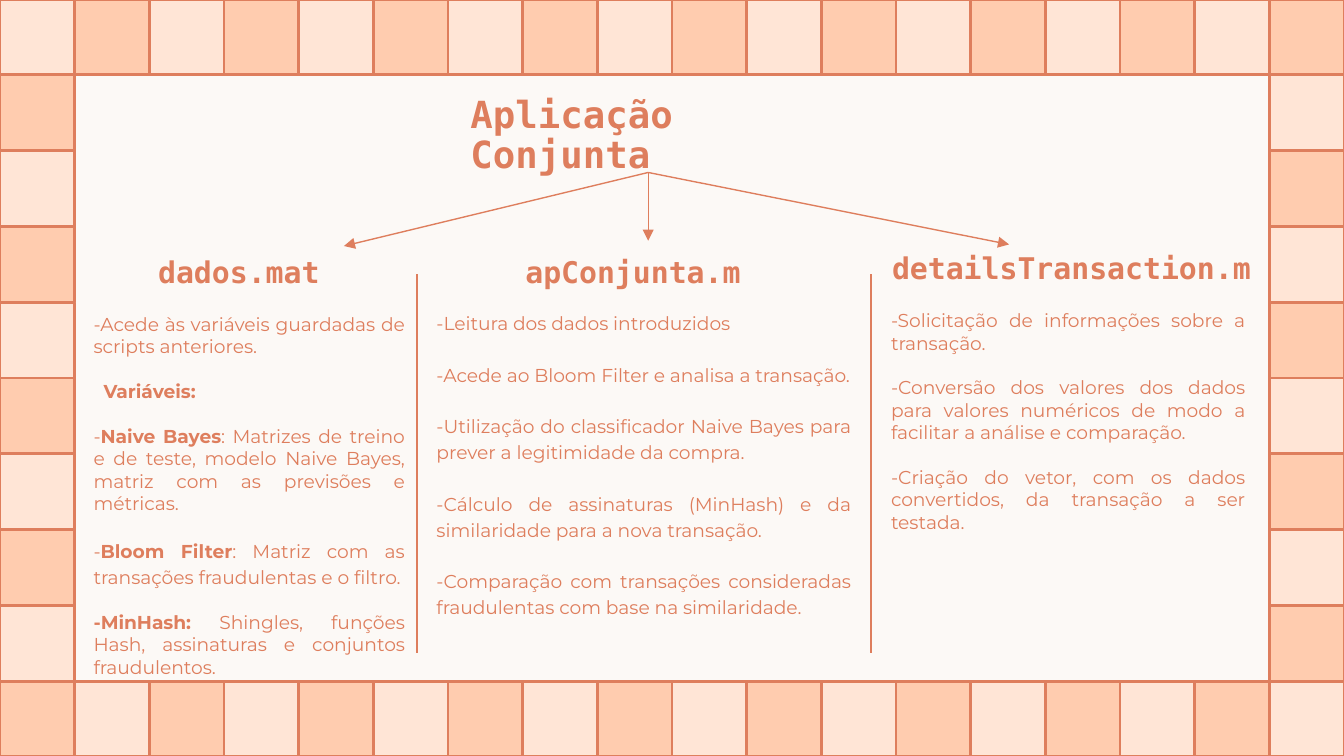
"""Builds the slide that maps the three files of the joint application."""
from dataclasses import dataclass

from lxml import etree
from pptx import Presentation
from pptx.dml.color import RGBColor
from pptx.enum.shapes import MSO_CONNECTOR, MSO_SHAPE
from pptx.enum.text import MSO_ANCHOR, PP_ALIGN
from pptx.oxml.ns import qn
from pptx.util import Cm, Pt

STRAIGHT = MSO_CONNECTOR.STRAIGHT
RECTANGLE = MSO_SHAPE.RECTANGLE
TOP, MIDDLE = MSO_ANCHOR.TOP, MSO_ANCHOR.MIDDLE
LEFT, JUSTIFY = PP_ALIGN.LEFT, PP_ALIGN.JUSTIFY


@dataclass(frozen=True)
class Theme:
    paper: RGBColor = RGBColor.from_string("FCF9F6")
    light: RGBColor = RGBColor.from_string("FFE5D6")
    dark: RGBColor = RGBColor.from_string("FFCCAF")
    ink: RGBColor = RGBColor.from_string("DE7E5D")
    mono: str = "DejaVu Sans Mono"
    sans: str = "Montserrat"
    title: int = 20
    heading: int = 16
    body: int = 10


theme = Theme()
WIDTH, HEIGHT = 25.4, 14.29
COLUMNS, ROWS = 18, 10
TILE = WIDTH / COLUMNS
SIDE_HEIGHT = (HEIGHT - 2 * TILE) / (ROWS - 2)

presentation = Presentation()
presentation.slide_width = Cm(WIDTH)
presentation.slide_height = Cm(HEIGHT)
slide = presentation.slides.add_slide(presentation.slide_layouts[6])
slide.background.fill.solid()
slide.background.fill.fore_color.rgb = theme.paper


def add_text(paragraphs, left, top, width, height, *, font, size, bold=False,
             align=LEFT, anchor=TOP, line_spacing=1.0, gap=0):
    """Adds a text box; every second part of a paragraph is bold."""
    box = slide.shapes.add_textbox(Cm(left), Cm(top), Cm(width), Cm(height))
    frame = box.text_frame
    frame.word_wrap = True
    frame.vertical_anchor = anchor
    frame.margin_left = frame.margin_right = Cm(0.25)
    frame.margin_top = frame.margin_bottom = Cm(0.25)
    for index, parts in enumerate(paragraphs):
        paragraph = frame.add_paragraph() if index else frame.paragraphs[0]
        paragraph.alignment = align
        paragraph.line_spacing = line_spacing
        if index:
            paragraph.space_before = Pt(gap)
        for position, part in enumerate(parts):
            if part:
                run = paragraph.add_run()
                run.text = part
                run.font.name = font
                run.font.size = Pt(size)
                run.font.bold = bold or position % 2 == 1
                run.font.color.rgb = theme.ink
    return frame


def add_line(start, end, arrow=False):
    """Adds a thin straight line, with an arrowhead at its end on request."""
    connector = slide.shapes.add_connector(
        STRAIGHT, Cm(start[0]), Cm(start[1]), Cm(end[0]), Cm(end[1]))
    connector.line.color.rgb = theme.ink
    connector.line.width = Pt(0.75)
    if arrow:
        outline = connector.line._get_or_add_ln()
        etree.SubElement(outline, qn("a:tailEnd"), type="triangle")
    etree.SubElement(connector._element.spPr, qn("a:effectLst"))


for row in range(ROWS):
    is_edge = row in (0, ROWS - 1)
    tile_top = TILE + (row - 1) * SIDE_HEIGHT if row else 0
    tile_height = TILE if is_edge else SIDE_HEIGHT
    for column in range(COLUMNS) if is_edge else (0, COLUMNS - 1):
        tile = slide.shapes.add_shape(
            RECTANGLE, Cm(column * TILE), Cm(tile_top), Cm(TILE), Cm(tile_height))
        tile.shadow.inherit = False
        tile.fill.solid()
        tile.fill.fore_color.rgb = theme.dark if (row + column) % 2 else theme.light
        tile.line.color.rgb = theme.ink
        tile.line.width = Pt(1.5)

add_text([("Aplicação Conjunta",)], 8.64, 1.85, 8.13, 1.47, font=theme.mono,
         size=theme.title, bold=True, anchor=MIDDLE, line_spacing=0.9)

for arrow_end in ((6.5, 4.65), (12.25, 4.55), (19.07, 4.62)):
    add_line((12.25, 3.26), arrow_end, arrow=True)
for divider in (7.88, 16.46):
    add_line((divider, 5.18), (divider, 12.34))

headings = (
    ("dados.mat", 2.74, 4.63, 3.76),
    ("apConjunta.m", 9.68, 4.63, 4.98),
    ("detailsTransaction.m", 16.61, 4.54, 8.13),
)
for name, left, top, width in headings:
    add_text([(name,)], left, top, width, 1.12, font=theme.mono,
             size=theme.heading, bold=True, line_spacing=0.9)

data_paragraphs = (
    ("-Acede às variáveis guardadas de scripts anteriores.",),
    ("", "Variáveis:"),
    ("-", "Naive Bayes", ": Matrizes de treino e de teste, modelo Naive Bayes, "
     "matriz com as previsões e métricas."),
    ("-", "Bloom Filter", ": Matriz com as transações fraudulentas e o filtro."),
    ("", "-MinHash: ", "Shingles, funções Hash, assinaturas e conjuntos fraudulentos."),
)
application_paragraphs = (
    ("-Leitura dos dados introduzidos",),
    ("-Acede ao Bloom Filter e analisa a transação.",),
    ("-Utilização do classificador Naive Bayes para prever a legitimidade da compra.",),
    ("-Cálculo de assinaturas (MinHash) e da similaridade para a nova transação.",),
    ("-Comparação com transações consideradas fraudulentas com base na similaridade.",),
)
details_paragraphs = (
    ("-Solicitação de informações sobre a transação.",),
    ("-Conversão dos valores dos dados para valores numéricos de modo a facilitar "
     "a análise e comparação.",),
    ("-Criação do vetor, com os dados convertidos, da transação a ser testada.",),
)
body = {"font": theme.sans, "size": theme.body, "align": JUSTIFY}
data_frame = add_text(data_paragraphs, 1.52, 5.66, 6.38, 7.49, gap=12, **body)
data_frame.paragraphs[1]._p.get_or_add_pPr().set("marL", str(Cm(0.19)))
data_frame.paragraphs[3].line_spacing = 1.15
add_text(application_paragraphs, 8.0, 5.59, 8.33, 6.35,
         line_spacing=1.15, gap=13.8, **body)
add_text(details_paragraphs, 16.59, 5.59, 7.19, 4.8, gap=12, **body)

presentation.save("out.pptx")
